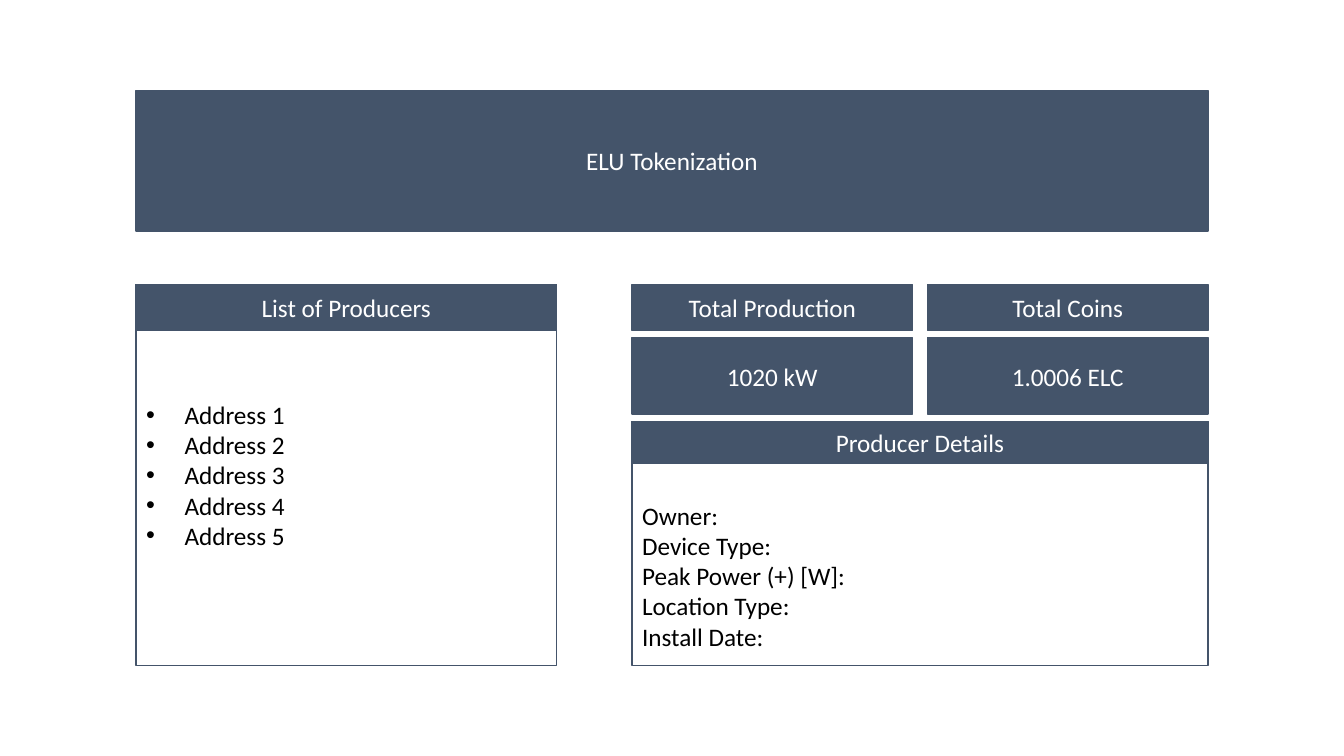
import pptx
import pptx.util
import pptx.dml.color
import pptx.enum.shapes
import pptx.enum.text

Inches = pptx.util.Inches
ALIGN = pptx.enum.text.PP_ALIGN
ANCHOR = pptx.enum.text.MSO_ANCHOR

SLATE = pptx.dml.color.RGBColor(0x44, 0x54, 0x6A)
WHITE = pptx.dml.color.RGBColor(0xFF, 0xFF, 0xFF)
BLACK = pptx.dml.color.RGBColor(0x00, 0x00, 0x00)

# Shared edges of the layout
LEFT, RIGHT_COLUMN, TOP = 1.35, 6.27, 2.82
LIST_WIDTH, DETAILS_WIDTH, TILE_WIDTH = 4.17, 5.71, 2.78
HEADER_HEIGHT = 0.46
DETAILS_TOP, BOTTOM = 4.18, 6.6


def format_box(box, area, lines, filled=True):
    """Place a box and write its lines, white on slate or black in an outline."""
    box.left, box.top, box.width, box.height = [Inches(value) for value in area]
    box.shadow.inherit = False
    if filled:
        box.fill.solid()
        box.fill.fore_color.rgb = SLATE
    else:
        box.fill.background()
    box.line.color.rgb = SLATE
    box.line.width = pptx.util.Pt(1)

    frame_format = {
        "text": "\n".join(lines),
        "word_wrap": True,
        "auto_size": pptx.enum.text.MSO_AUTO_SIZE.NONE,
        "vertical_anchor": ANCHOR.MIDDLE,
    }
    for name, value in frame_format.items():
        setattr(box.text_frame, name, value)

    font_format = {"name": "Calibri", "size": pptx.util.Pt(18), "bold": False}
    for para in box.text_frame.paragraphs:
        para.alignment = ALIGN.CENTER if filled else ALIGN.LEFT
        para.space_before = pptx.util.Pt(0)
        for span in para.runs:
            for name, value in font_format.items():
                setattr(span.font, name, value)
            span.font.color.rgb = WHITE if filled else BLACK


def add_box(shapes, area, lines, filled=True):
    """Add a formatted rectangle to the slide or to a group."""
    box = shapes.add_shape(pptx.enum.shapes.MSO_SHAPE.RECTANGLE, 0, 0, 0, 0)
    format_box(box, area, lines, filled)
    return box


deck = pptx.Presentation()
deck.slide_width, deck.slide_height = Inches(13.33), Inches(7.5)
page = deck.slides.add_slide(deck.slide_layouts[1])

# Title banner
format_box(page.shapes.title, (LEFT, 0.9, 10.63, 1.39), ["ELU Tokenization"])

# Bulleted list of producers under its header
producers = page.placeholders[1]
addresses = [f"Address {number}" for number in range(1, 6)]
format_box(producers, (LEFT, TOP, LIST_WIDTH, BOTTOM - TOP), addresses, filled=False)
for para in producers.text_frame.paragraphs:
    properties = para._p.get_or_add_pPr()
    properties.set("marL", str(Inches(0.38)))
    properties.set("indent", str(Inches(-0.38)))
add_box(page.shapes, (LEFT, TOP, LIST_WIDTH, HEADER_HEIGHT), ["List of Producers"])

# Producer details, grouped with their header
details_group = page.shapes.add_group_shape()
details = add_box(
    details_group.shapes,
    (RIGHT_COLUMN, DETAILS_TOP, DETAILS_WIDTH, BOTTOM - DETAILS_TOP),
    ["Owner:", "Device Type:", "Peak Power (+) [W]:", "Location Type:", "Install Date:"],
    filled=False,
)
details.text_frame.vertical_anchor = ANCHOR.BOTTOM
details.text_frame.margin_bottom = Inches(0.14)
add_box(
    details_group.shapes,
    (RIGHT_COLUMN, DETAILS_TOP, DETAILS_WIDTH, 0.42),
    ["Producer Details"],
)

# Tiles with the totals
totals = [("Total Production", "1020 kW"), ("Total Coins", "1.0006 ELC")]
for column, (label, amount) in enumerate(totals):
    left = RIGHT_COLUMN + column * (DETAILS_WIDTH - TILE_WIDTH)
    add_box(page.shapes, (left, TOP, TILE_WIDTH, HEADER_HEIGHT), [label])
    add_box(page.shapes, (left, 3.35, TILE_WIDTH, 0.76), [amount])

deck.save("out.pptx")
